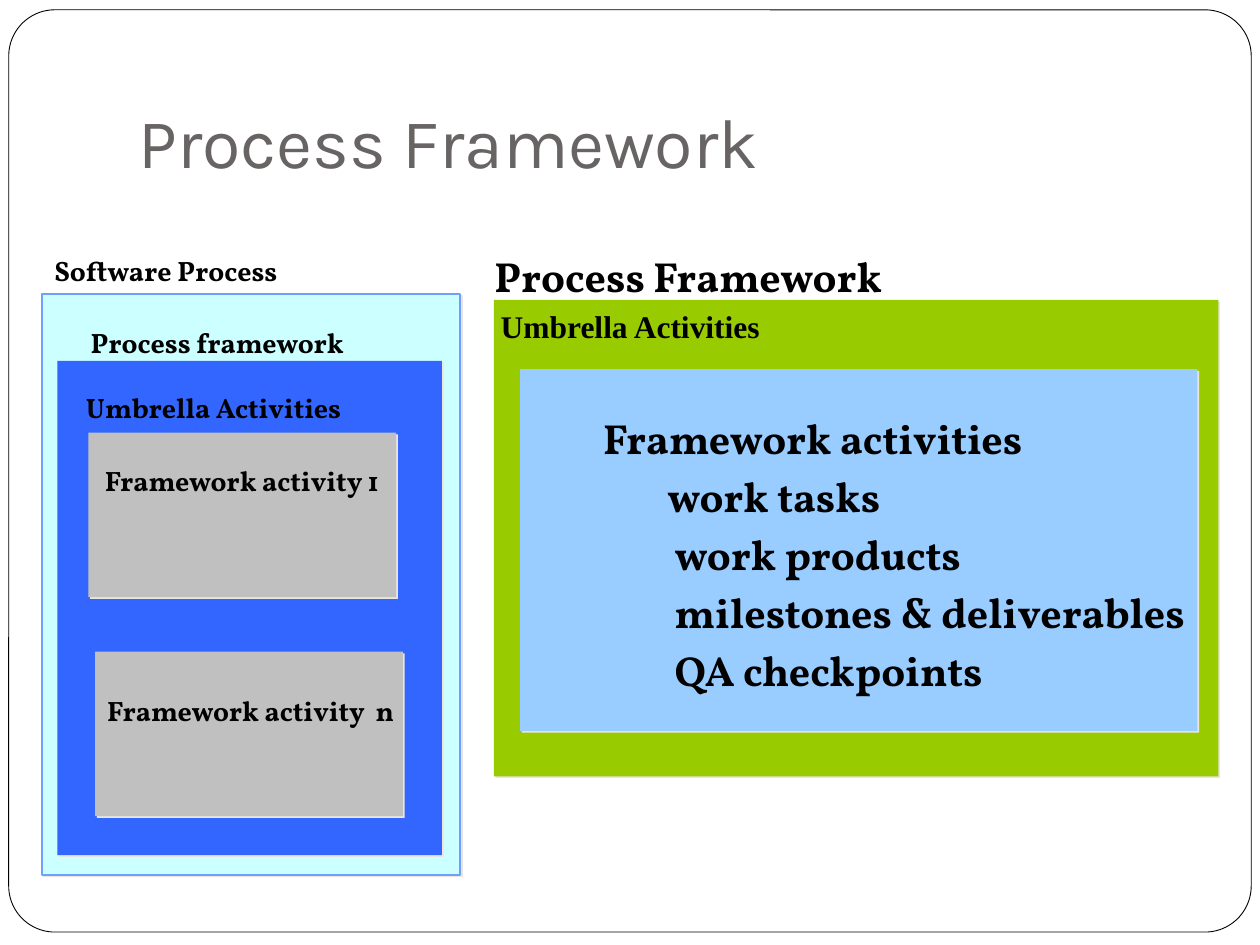
import pptx
import pptx.util
import pptx.dml.color
import pptx.enum.shapes
import pptx.enum.text
import pptx.oxml
import pptx.oxml.ns

Pt = pptx.util.Pt
RGBColor = pptx.dml.color.RGBColor
MSO_SHAPE = pptx.enum.shapes.MSO_SHAPE
MSO_ANCHOR = pptx.enum.text.MSO_ANCHOR
PP_ALIGN = pptx.enum.text.PP_ALIGN

WHITE = RGBColor(0xFF, 0xFF, 0xFF)
BLACK = RGBColor(0, 0, 0)
TITLE_GRAY = RGBColor(0x69, 0x64, 0x64)
PALE_CYAN = RGBColor(0xCC, 0xFF, 0xFF)
CYAN_EDGE = RGBColor(0x70, 0xA0, 0xFF)
BLUE = RGBColor(0x33, 0x66, 0xFF)
SILVER = RGBColor(0xC0, 0xC0, 0xC0)
GREEN = RGBColor(0x99, 0xCC, 0x00)
SKY = RGBColor(0x99, 0xCC, 0xFF)
SHADOW = RGBColor(0xE9, 0xE5, 0xDC)
SERIF = "Vollkorn"


def add_panel(slide, left, top, width, height, fill, line=None):
    shape = slide.shapes.add_shape(
        MSO_SHAPE.RECTANGLE, Pt(left), Pt(top), Pt(width), Pt(height))
    shape.fill.solid()
    shape.fill.fore_color.rgb = fill
    if line is None:
        shape.line.fill.background()
    else:
        shape.line.color.rgb = line
        shape.line.width = Pt(1)
    shape.shadow.inherit = False
    effects = shape._element.spPr.find(pptx.oxml.ns.qn("a:effectLst"))
    effects.append(pptx.oxml.parse_xml(
        f'<a:outerShdw {pptx.oxml.ns.nsdecls("a")} blurRad="0" '
        f'dist="{Pt(1.4)}" dir="2700000" algn="ctr" rotWithShape="0">'
        f'<a:srgbClr val="{SHADOW}"/></a:outerShdw>'))
    return shape


def write_line(paragraph, text, size, font=SERIF, color=BLACK, bold=True, indent=0):
    paragraph.alignment = PP_ALIGN.LEFT
    if indent:
        properties = paragraph._p.get_or_add_pPr()
        properties.set("marL", str(Pt(indent)))
        properties.set("indent", "0")
    run = paragraph.add_run()
    run.text = text
    run.font.size = Pt(size)
    run.font.name = font
    run.font.bold = bold
    run.font.color.rgb = color


def write_lines(text_frame, lines):
    for index, (text, size, font, indent) in enumerate(lines):
        paragraph = text_frame.add_paragraph() if index else text_frame.paragraphs[0]
        paragraph.line_spacing = 1.15
        write_line(paragraph, text, size, font, indent=indent)


def add_text(slide, left, top, width, height):
    box = slide.shapes.add_textbox(Pt(left), Pt(top), Pt(width), Pt(height))
    box.text_frame.word_wrap = True
    return box.text_frame


def add_frame(slide, left, top, width, height):
    frame = slide.shapes.add_shape(
        MSO_SHAPE.ROUNDED_RECTANGLE, Pt(left), Pt(top), Pt(width), Pt(height))
    frame.adjustments[0] = 0.05
    frame.fill.solid()
    frame.fill.fore_color.rgb = WHITE
    frame.line.color.rgb = BLACK
    frame.line.width = Pt(0.5)
    frame.shadow.inherit = False


def add_title(slide, left, top, width, height):
    text_frame = add_text(slide, left, top, width, height)
    text_frame.vertical_anchor = MSO_ANCHOR.BOTTOM
    text_frame.margin_bottom = Pt(7.2)
    write_line(text_frame.paragraphs[0], "Process Framework", 40, "Karla",
               TITLE_GRAY, False)


def add_software_process(slide, left, top, width, height):
    add_panel(slide, left, top, width, height, PALE_CYAN, CYAN_EDGE)
    add_panel(slide, left + 8.8, top + 38.2, width - 19.2, height - 49.5, BLUE)
    for x, y in ((26.5, 79.3), (30.4, 204.4)):
        add_panel(slide, left + x, top + y, 175.9, 94, SILVER)
    labels = (
        ("Software Process", 0, -29.5),
        ("Process framework", 20.7, 11.6),
        ("Umbrella Activities", 18, 48.6),
        ("Framework activity 1", 28.8, 90.2),
        ("Framework activity  n", 30.2, 222.2),
    )
    for text, x, y in labels:
        text_frame = add_text(slide, left + x, top + y, 190.8, 28.8)
        write_lines(text_frame, [(text, 16, SERIF, 0)])


def add_process_framework(slide, left, top, width, height):
    add_panel(slide, left, top, width, height, GREEN)
    panel = add_panel(slide, left + 15, top + 39.6, width - 27, height - 65.5, SKY)
    panel.text_frame.word_wrap = True
    panel.text_frame.margin_right = 0
    panel.text_frame.vertical_anchor = MSO_ANCHOR.MIDDLE
    activities = (
        ("Framework activities", 40.3),
        ("work tasks", 77),
        ("work products", 81.2),
        ("milestones & deliverables", 81.2),
        ("QA checkpoints", 81.2),
    )
    write_lines(panel.text_frame,
                [(text, 24, SERIF, indent) for text, indent in activities])
    heading = add_text(slide, left - 12.2, top - 36, width + 12, 64.8)
    write_lines(heading, [
        ("Process Framework", 24, SERIF, 5.4),
        ("Umbrella Activities", 18, "Times New Roman", 9),
    ])


def main():
    presentation = pptx.Presentation()
    presentation.slide_width = Pt(720)
    presentation.slide_height = Pt(540)
    slide = presentation.slides.add_slide(presentation.slide_layouts[6])
    add_frame(slide, 5, 5.6, 710, 527)
    add_title(slide, 72, 21.6, 612, 90)
    add_software_process(slide, 24, 168, 239, 332)
    add_process_framework(slide, 282.2, 171.4, 414, 272.2)
    presentation.save("out.pptx")


if __name__ == "__main__":
    main()
